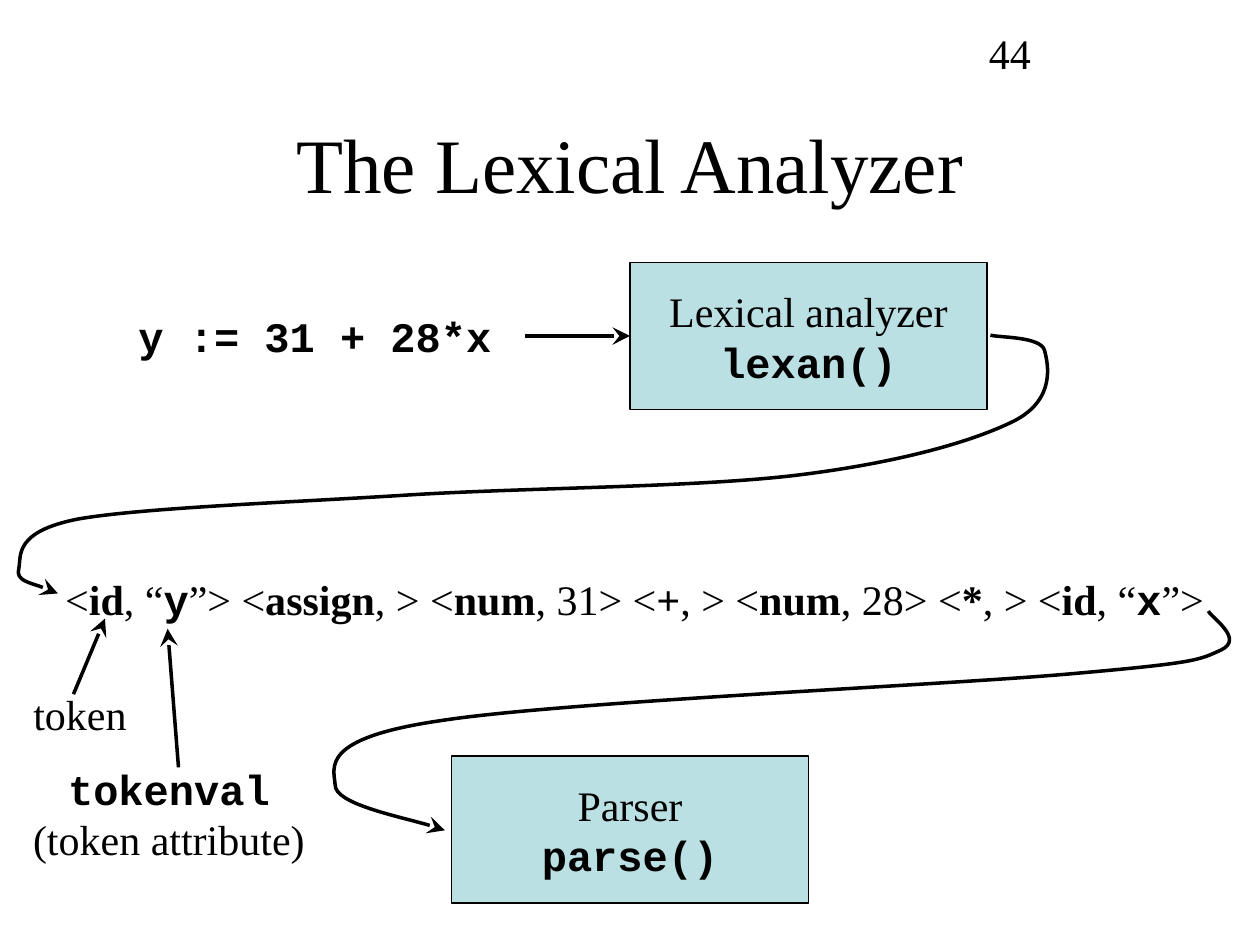
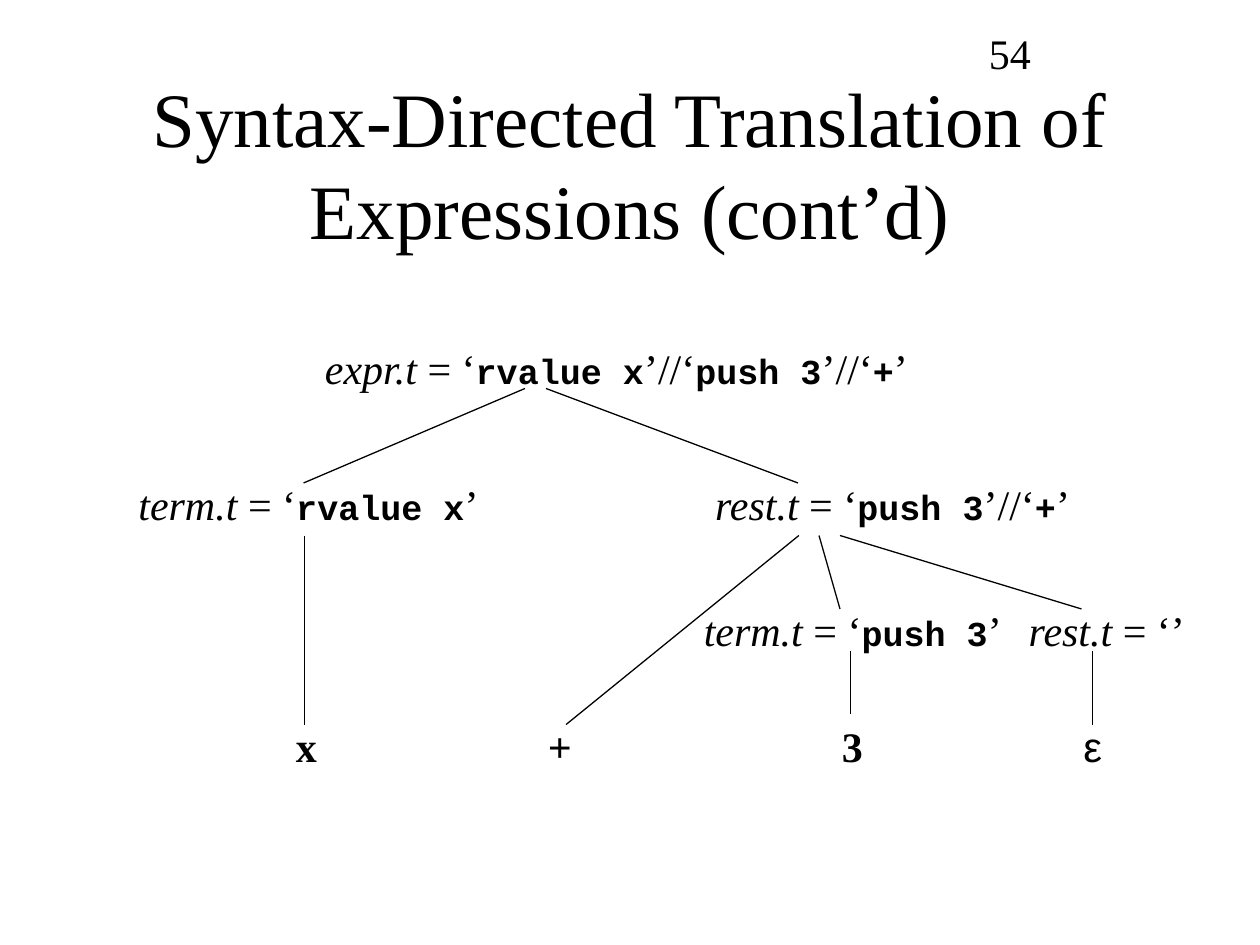
from dataclasses import dataclass

from lxml import etree
from pptx import Presentation
from pptx.dml.color import RGBColor
from pptx.enum.shapes import MSO_CONNECTOR, MSO_SHAPE
from pptx.enum.text import MSO_ANCHOR, PP_ALIGN
from pptx.oxml.ns import qn
from pptx.util import Pt

STRAIGHT = MSO_CONNECTOR.STRAIGHT
RECTANGLE = MSO_SHAPE.RECTANGLE
MIDDLE, TOP = MSO_ANCHOR.MIDDLE, MSO_ANCHOR.TOP
CENTER, LEFT = PP_ALIGN.CENTER, PP_ALIGN.LEFT

COLORS = {"ink": "000000", "stage": "BBE0E3"}
SERIF, MONO, SANS = "Times New Roman", "Courier New", "Arial"
THIN, THICK = 0.75, 2
STAGE_WIDTH, STAGE_HEIGHT = 204, 84
LINE_HEIGHT = 36


@dataclass(frozen=True)
class Style:
    name: str = SERIF
    size: int = Pt(24)
    bold: bool = False
    italic: bool = False


PLAIN = Style()
BOLD = Style(bold=True)
ITALIC = Style(italic=True)
CODE = Style(MONO, bold=True)
SMALL_CODE = Style(MONO, Pt(20), bold=True)
GREEK = Style(SANS)
HEADLINE = Style(size=Pt(44))

Run = tuple[str, Style]
Line = list[Run]
Point = tuple[float, float]


@dataclass(frozen=True)
class Label:
    left: float
    top: float
    width: float
    lines: list[Line]
    height: float = LINE_HEIGHT
    align: int = LEFT
    anchor: int = TOP
    wrap: bool = False


@dataclass(frozen=True)
class Edge:
    start: Point
    end: Point


def rgb(key: str) -> RGBColor:
    return RGBColor.from_string(COLORS[key])


def write_lines(frame, lines: list[Line], align) -> None:
    for index, line in enumerate(lines):
        paragraph = frame.add_paragraph() if index else frame.paragraphs[0]
        paragraph.alignment = align
        paragraph.font.color.rgb = rgb("ink")
        runs = []
        for text, style in line:
            run = paragraph.add_run()
            run.text = text
            runs.append((run, style))
        for trait in ("name", "size", "bold", "italic"):
            values = [getattr(style, trait) for _, style in runs]
            if len(set(values)) == 1:
                setattr(paragraph.font, trait, values[0])
            else:
                for (run, _), value in zip(runs, values):
                    setattr(run.font, trait, value)


def add_label(slide, label: Label) -> None:
    box = slide.shapes.add_textbox(
        Pt(label.left), Pt(label.top), Pt(label.width), Pt(label.height))
    frame = box.text_frame
    frame.word_wrap = label.wrap
    frame.vertical_anchor = label.anchor
    write_lines(frame, label.lines, label.align)


def add_stage(slide, left: float, top: float, role: str, call: str):
    stage = slide.shapes.add_shape(
        RECTANGLE, Pt(left), Pt(top), Pt(STAGE_WIDTH), Pt(STAGE_HEIGHT))
    stage.shadow.inherit = False
    stage.fill.solid()
    stage.fill.fore_color.rgb = rgb("stage")
    set_line(stage, THIN)
    stage.text_frame.word_wrap = False
    stage.text_frame.vertical_anchor = MIDDLE
    write_lines(stage.text_frame, [[(role, PLAIN)], [(call, CODE)]], CENTER)
    return stage


def set_line(shape, width: float, arrow: bool = False) -> None:
    shape.line.color.rgb = rgb("ink")
    shape.line.width = Pt(width)
    if arrow:
        outline = shape.line._get_or_add_ln()
        etree.SubElement(outline, qn("a:tailEnd"),
                         type="stealth", w="lg", len="lg")


def add_edge(slide, edge: Edge, width: float = THIN, arrow: bool = False):
    connector = slide.shapes.add_connector(
        STRAIGHT, *(Pt(value) for value in edge.start + edge.end))
    set_line(connector, width, arrow)
    etree.SubElement(connector._element.spPr, qn("a:effectLst"))
    return connector


def add_curve(slide, points: list[Point]) -> None:
    start, *rest = [(Pt(x), Pt(y)) for x, y in points]
    builder = slide.shapes.build_freeform(*start)
    builder.add_line_segments(rest, close=False)
    curve = builder.convert_to_shape()
    curve.shadow.inherit = False
    curve.fill.background()
    set_line(curve, THICK, arrow=True)
    steps = list(curve._element.iter(qn("a:lnTo")))
    for first in range(0, len(steps), 3):
        bezier = etree.Element(qn("a:cubicBezTo"))
        steps[first].addprevious(bezier)
        for step in steps[first:first + 3]:
            bezier.append(step[0])
            step.getparent().remove(step)


def start_slide(deck, title: str, number: str):
    slide = deck.slides.add_slide(deck.slide_layouts[6])
    add_label(slide, Label(54, 48, 612, [[(title, HEADLINE)]], 90,
                           CENTER, MIDDLE, True))
    add_label(slide, Label(558, 12, 150, [[(number, PLAIN)]], wrap=True))
    return slide


def token_stream(tokens: list[tuple[str, str]]) -> Line:
    line: Line = []
    for index, (token, value) in enumerate(tokens):
        line += [(" <" if index else "<", PLAIN), (token, BOLD)]
        if token == "id":
            line += [(", “", PLAIN), (value, CODE), ("”>", PLAIN)]
        else:
            line.append((f", {value}>", PLAIN))
    return line


def attribute(symbol: str, *codes: str) -> Line:
    line = [(symbol, ITALIC), (" = ‘", PLAIN)]
    for index, code in enumerate(codes):
        if index:
            line.append(("’//‘", PLAIN))
        line.append((code, SMALL_CODE))
    return line + [("’", PLAIN)]


def build_lexical_analyzer(deck) -> None:
    slide = start_slide(deck, "The Lexical Analyzer", "44")
    lexer = add_stage(slide, 360, 150, "Lexical analyzer", "lexan()")
    add_stage(slide, 258, 432, "Parser", "parse()")

    tokens = [("id", "y"), ("assign", ""), ("num", "31"), ("+", ""),
              ("num", "28"), ("*", ""), ("id", "x")]
    for label in (
        Label(72, 174, 220, [[("y := 31 + 28*x", CODE)]]),
        Label(30.2, 324, 672, [token_stream(tokens)]),
        Label(12, 390, 72, [[("token", PLAIN)]]),
        Label(8.5, 432.7, 176,
              [[("tokenval", CODE)], [("(token attribute)", PLAIN)]],
              64.8, CENTER),
    ):
        add_label(slide, label)

    source_arrow = add_edge(slide, Edge((300, 192), (360, 192)), THICK, True)
    source_arrow.end_connect(lexer, 1)
    for pointer in (Edge((42, 396.7), (60, 353.5)),
                    Edge((102, 438.5), (95.8, 359.3))):
        add_edge(slide, pointer, THICK, True)

    lexer_to_tokens = [
        (566, 191.5), (571, 193), (594.7, 192.2), (596.9, 200.2),
        (599, 208.1), (603.4, 228.2), (579.6, 240.5),
        (556.6, 252), (514.8, 264.2), (456.5, 271.4),
        (398.2, 278.6), (299.5, 278.6), (231.1, 283),
        (162, 287.3), (81.4, 290.2), (44.6, 296.6),
        (7.9, 303.8), (12.2, 317.5), (10.8, 324.7),
        (8.6, 331.9), (28.1, 336.2), (33.1, 339.1)]
    tokens_to_parser = [
        (690.5, 349.2), (691.9, 352.8), (711.4, 365), (697.7, 371.5),
        (684.7, 377.3), (684.7, 378.7), (610.6, 385.2),
        (536.4, 391.7), (321.8, 401), (252, 411.8),
        (182.2, 421.9), (190.8, 438.5), (191.5, 448.6),
        (191.5, 459.4), (241.2, 469.4), (254.2, 474.5)]
    for points in (lexer_to_tokens, tokens_to_parser):
        add_curve(slide, points)


def build_translation_tree(deck) -> None:
    slide = start_slide(
        deck, "Syntax-Directed Translation of Expressions (cont’d)", "54")
    root_top, child_top, grandchild_top, leaf_top = 192, 270, 342, 408
    for left, top, width, line in (
        (178.6, root_top, 354, attribute("expr.t", "rvalue x", "push 3", "+")),
        (72, child_top, 212, attribute("term.t", "rvalue x")),
        (401.6, child_top, 222, attribute("rest.t", "push 3", "+")),
        (395.1, grandchild_top, 194, attribute("term.t", "push 3")),
        (580.8, grandchild_top, 114, [("rest.t", ITALIC), (" = ‘’", PLAIN)]),
        (162, leaf_top, 28, [("x", BOLD)]),
        (306, leaf_top, 30, [("+", BOLD)]),
        (474, leaf_top, 28, [("3", BOLD)]),
        (612, leaf_top, 28, [("ε", GREEK)]),
    ):
        add_label(slide, Label(left, top, width, [line]))

    for branch in (
        Edge((300, 222), (173.5, 276)),
        Edge((312, 222), (456, 276)),
        Edge((174, 306), (174, 414)),
        Edge((456.5, 306), (323.5, 414)),
        Edge((468, 306), (480, 348)),
        Edge((480, 306), (618, 348)),
        Edge((486, 372), (486, 408)),
        Edge((624.2, 372), (624.2, 414)),
    ):
        add_edge(slide, branch)


def main() -> None:
    deck = Presentation()
    deck.slide_width, deck.slide_height = Pt(720), Pt(540)
    build_lexical_analyzer(deck)
    build_translation_tree(deck)
    deck.save("out.pptx")


if __name__ == "__main__":
    main()
